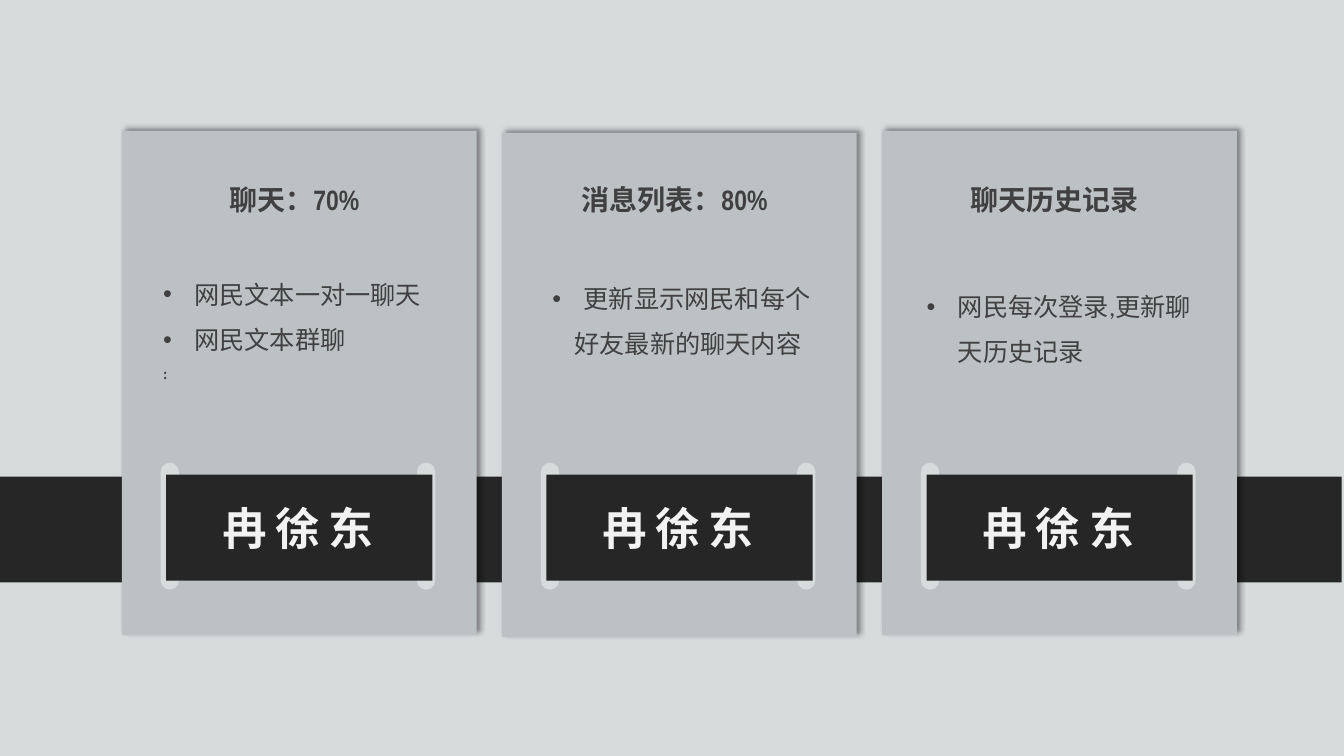
from dataclasses import dataclass

from lxml.etree import SubElement
from pptx import Presentation
from pptx.dml.color import RGBColor
from pptx.enum.shapes import MSO_SHAPE as Shape
from pptx.enum.text import PP_ALIGN as Align
from pptx.oxml.ns import qn
from pptx.util import Cm, Pt


@dataclass(frozen=True)
class Theme:
    page: str = "D7DBDC"
    card: str = "BCC2C4"
    dark: str = "262626"
    ink: str = "404040"
    light: str = "F2F2F2"
    title_font: str = "Arial Narrow"
    body_font: str = "Calibri"
    name_font: str = "Noto Sans CJK JP"
    title_size: int = 20
    body_size: int = 18
    note_size: int = 11
    name_size: int = 32


THEME = Theme()
OWNER = "冉徐东"
CARDS = [
    {"title": "聊天：70%", "top": 3.3, "body": (1.04, 6.65),
     "lines": [("bullet", "网民文本一对一聊天"), ("bullet", "网民文本群聊"), ("note", ":")]},
    {"title": "消息列表：80%", "top": 3.35, "body": (1.27, 6.76),
     "lines": [("bullet", "更新显示网民和每个"), ("indent", "好友最新的聊天内容")]},
    {"title": "聊天历史记录", "top": 3.3, "body": (1.12, 6.96),
     "lines": [("bullet", "网民每次登录,更新聊天历史记录")]},
]
LEFT, PITCH = 3.07, 9.58
CARD_W, CARD_H = 8.94, 12.7
BULLET_INDENT, LINE_INDENT = 0.79, 0.56


def add_block(s, kind, x, y, w, h, color):
    sp = s.shapes.add_shape(kind, Cm(x), Cm(y), Cm(w), Cm(h))
    sp.shadow.inherit = False
    sp.fill.solid()
    sp.fill.fore_color.rgb = RGBColor.from_string(color)
    sp.line.fill.background()
    return sp


def add_shadow(sp):
    effects = sp._element.spPr.find(qn("a:effectLst"))
    shadow = SubElement(effects, qn("a:outerShdw"), blurRad=str(Pt(4)), dist=str(Pt(3)),
                        dir=str(315 * 60000), algn="bl", rotWithShape="0")
    color = SubElement(shadow, qn("a:srgbClr"), val="000000")
    SubElement(color, qn("a:alpha"), val="40000")


def add_text(s, x, y, w, h, inset=True):
    tf = s.shapes.add_textbox(Cm(x), Cm(y), Cm(w), Cm(h)).text_frame
    tf.word_wrap = True
    if not inset:
        tf.margin_left = tf.margin_right = tf.margin_top = tf.margin_bottom = 0
    return tf


def style(p, font, size, color, bold=False):
    for r in p.runs:
        r.font.name = font
        r.font.size = Pt(size)
        r.font.bold = bold
        r.font.color.rgb = RGBColor.from_string(color)


def add_title(s, x, text):
    tf = add_text(s, x + 0.79, 4.6, 7.11, 1.27, inset=False)
    tf.text = text
    p = tf.paragraphs[0]
    p.alignment = Align.CENTER
    style(p, THEME.title_font, THEME.title_size, THEME.ink, True)


def add_body(s, x, y, lines):
    tf = add_text(s, x, y, 6.81, 4.8, inset=False)
    for i, (kind, text) in enumerate(lines):
        p = tf.add_paragraph() if i else tf.paragraphs[0]
        p.text = text
        p.line_spacing = 1.5
        pPr = p._p.get_or_add_pPr()
        if kind == "bullet":
            pPr.set("marL", str(Cm(BULLET_INDENT)))
            pPr.set("indent", str(-Cm(BULLET_INDENT)))
            SubElement(pPr, qn("a:buFont"), typeface="Arial")
            SubElement(pPr, qn("a:buChar"), char="•")
        elif kind == "indent":
            pPr.set("marL", str(Cm(LINE_INDENT)))
        note = kind == "note"
        style(p, THEME.body_font, THEME.note_size if note else THEME.body_size, THEME.ink, note)


def add_nameplate(s, x):
    for dx in (0.98, 7.44):
        pin = add_block(s, Shape.ROUNDED_RECTANGLE, x + dx, 11.66, 0.46, 3.2, THEME.page)
        pin.adjustments[0] = 0.5
    add_block(s, Shape.RECTANGLE, x + 1.12, 11.96, 6.71, 2.67, THEME.dark)
    tf = add_text(s, x + 2.08, 12.5, 4.72, 1.63)
    tf.text = OWNER
    p = tf.paragraphs[0]
    p.alignment = Align.CENTER
    style(p, THEME.name_font, THEME.name_size, THEME.light, True)
    p.runs[0].font._element.set("spc", "600")


def main():
    prs = Presentation()
    prs.slide_width, prs.slide_height = Cm(33.87), Cm(19.05)
    s = prs.slides.add_slide(prs.slide_layouts[6])
    s.background.fill.solid()
    s.background.fill.fore_color.rgb = RGBColor.from_string(THEME.page)
    add_block(s, Shape.RECTANGLE, 0, 12.01, 33.81, 2.67, THEME.dark)
    for i, card in enumerate(CARDS):
        x = LEFT + i * PITCH
        sp = add_block(s, Shape.ROUNDED_RECTANGLE, x, card["top"], CARD_W, CARD_H, THEME.card)
        sp.adjustments[0] = 0
        add_shadow(sp)
        add_nameplate(s, x)
        add_title(s, x, card["title"])
        dx, y = card["body"]
        add_body(s, x + dx, y, card["lines"])
    prs.save("out.pptx")


if __name__ == "__main__":
    main()
